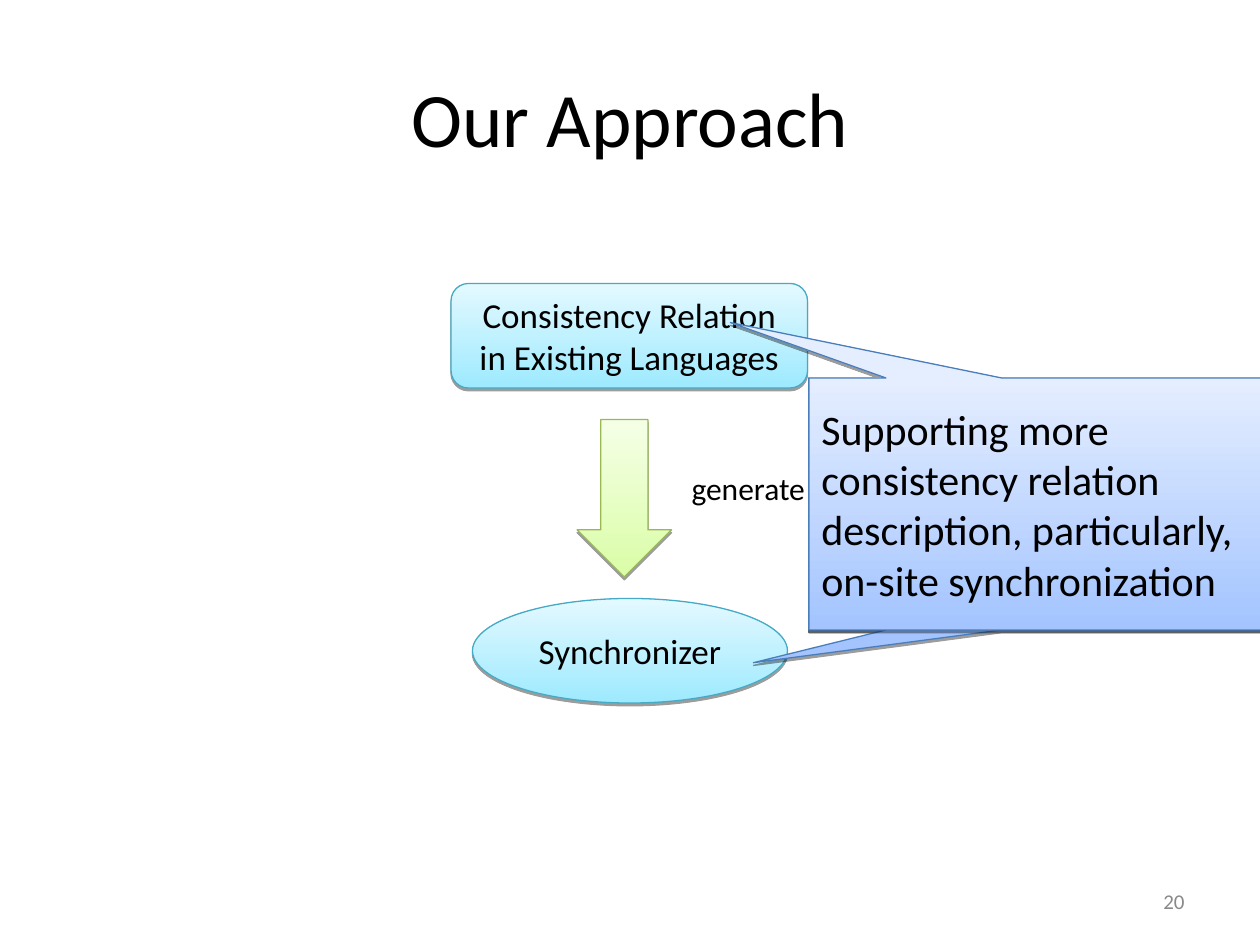
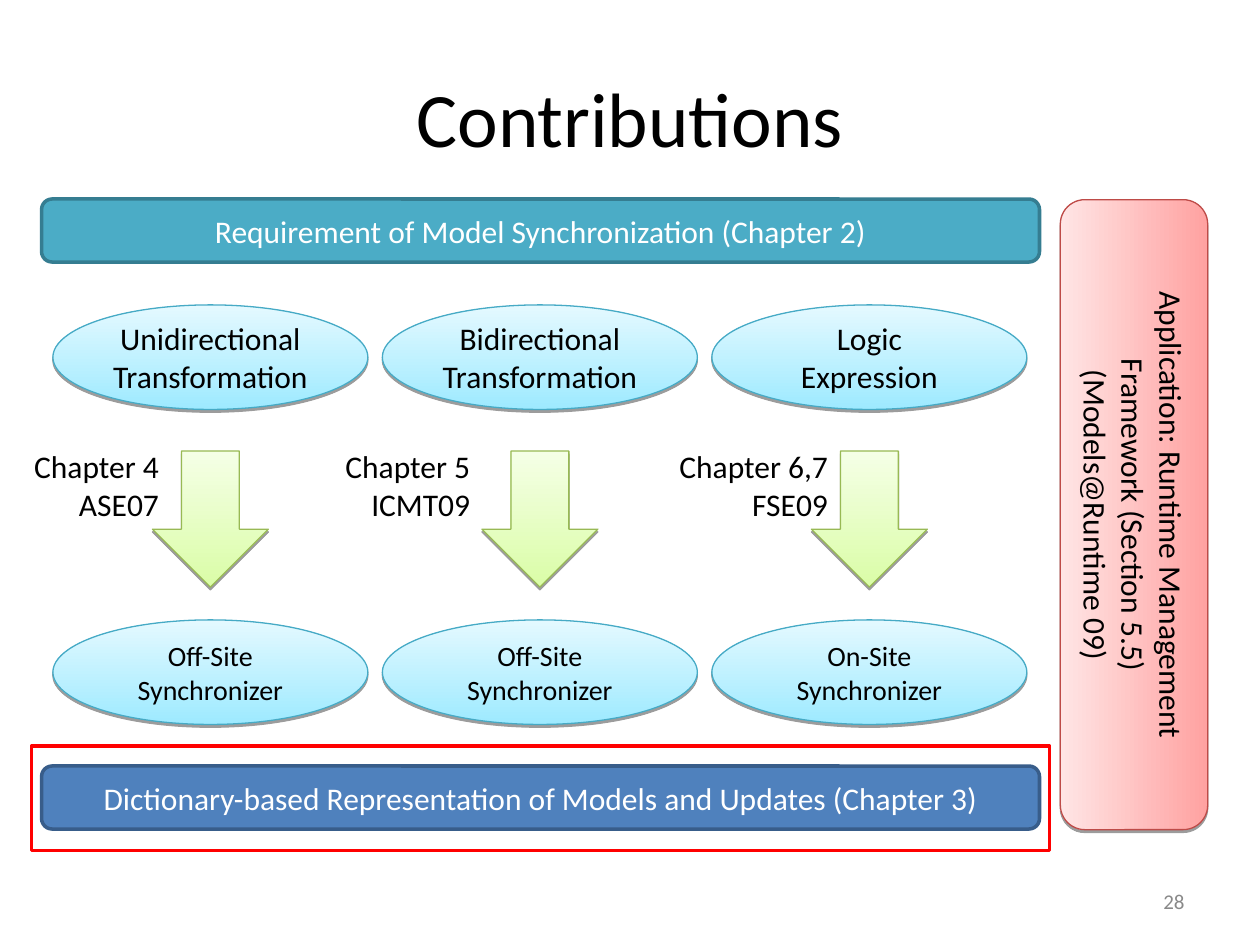
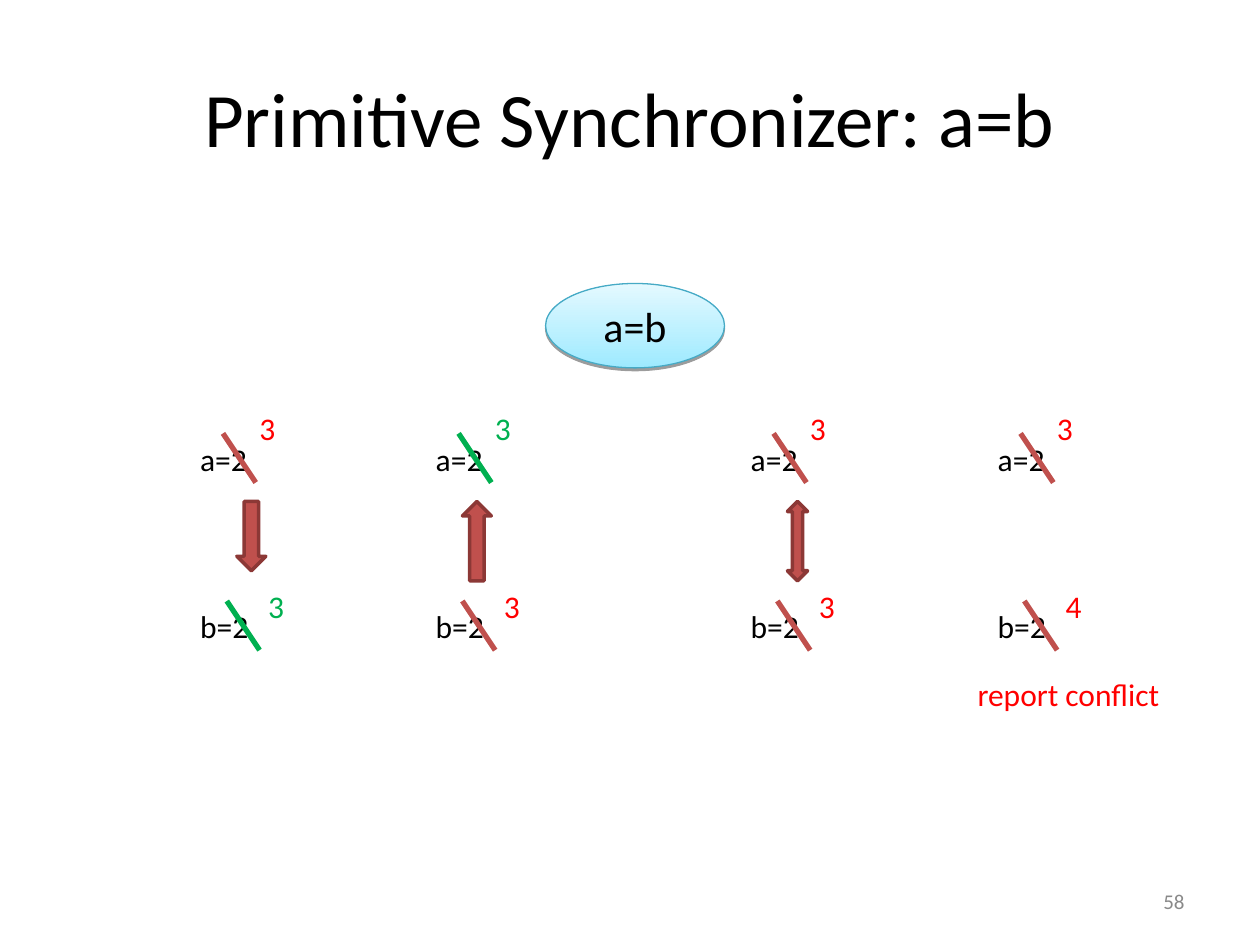
from typing import NamedTuple, Optional

from lxml.etree import SubElement
from pptx import Presentation
from pptx.dml.color import RGBColor
from pptx.enum.shapes import MSO_CONNECTOR, MSO_SHAPE
from pptx.enum.text import MSO_ANCHOR, MSO_AUTO_SIZE, PP_ALIGN
from pptx.oxml.ns import qn
from pptx.util import Inches, Pt

BLACK = RGBColor(0x00, 0x00, 0x00)
WHITE = RGBColor(0xFF, 0xFF, 0xFF)
GRAY = RGBColor(0x89, 0x89, 0x89)
RED = RGBColor(0xFF, 0x00, 0x00)
GREEN = RGBColor(0x00, 0xB0, 0x50)
BRICK = RGBColor(0xC0, 0x50, 0x4D)
FONT = "Calibri"


class Box(NamedTuple):
    left: float
    top: float
    width: float
    height: float


class Style(NamedTuple):
    """One fill colour is solid, two make a shadowed gradient, none is hollow."""
    fills: tuple[RGBColor, ...]
    line: RGBColor
    width: float = 0.75
    angle: int = 90
    ink: RGBColor = BLACK


class Flow(NamedTuple):
    source: str
    chapter: str
    target: str
    note: Box


class Arrow(NamedTuple):
    kind: MSO_SHAPE
    shift: float
    width: float
    height: float


class Case(NamedTuple):
    left: float
    new_a: str
    ink_a: RGBColor
    new_b: str
    ink_b: RGBColor
    arrow: Optional[Arrow]


AQUA = Style((RGBColor(0x9E, 0xEA, 0xFF), RGBColor(0xE4, 0xF9, 0xFF)), RGBColor(0x46, 0xAA, 0xC5))
LIME = Style((RGBColor(0xDA, 0xFD, 0xA7), RGBColor(0xF5, 0xFF, 0xE6)), RGBColor(0x98, 0xB9, 0x54))
SKY = Style((RGBColor(0xA3, 0xC4, 0xFF), RGBColor(0xE5, 0xEE, 0xFF)), RGBColor(0x4A, 0x7E, 0xBB))
ROSE = Style((RGBColor(0xFF, 0xA2, 0xA1), RGBColor(0xFF, 0xE5, 0xE5)), RGBColor(0xBE, 0x4B, 0x48),
             angle=180)
TEAL = Style((RGBColor(0x4B, 0xAC, 0xC6),), RGBColor(0x35, 0x7D, 0x91), 2, ink=WHITE)
BLUE = Style((RGBColor(0x4F, 0x81, 0xBD),), RGBColor(0x38, 0x5D, 0x8A), 2, ink=WHITE)
RUST = Style((BRICK,), RGBColor(0x8C, 0x38, 0x36), 2)
FRAME = Style((), RED, 2)

FLOWS = (
    Flow("Unidirectional Transformation", "Chapter 4\nASE07", "Off-Site Synchronizer",
         Box(0.17, 3.5, 1.19, 0.7)),
    Flow("Bidirectional Transformation", "Chapter 5\nICMT09", "Off-Site Synchronizer",
         Box(2.64, 3.5, 1.19, 0.7)),
    Flow("Logic Expression", "Chapter 6,7\nFSE09", "On-Site Synchronizer",
         Box(5.29, 3.5, 1.38, 0.7)),
)
CASES = (
    Case(1.49, "3", RED, "3", GREEN, Arrow(MSO_SHAPE.DOWN_ARROW, 0.39, 0.23, 0.55)),
    Case(3.36, "3", GREEN, "3", RED, Arrow(MSO_SHAPE.UP_ARROW, 0.31, 0.23, 0.63)),
    Case(5.86, "3", RED, "3", RED, Arrow(MSO_SHAPE.UP_DOWN_ARROW, 0.39, 0.16, 0.63)),
    Case(7.82, "3", RED, "4", RED, None),
)


def place(box: Box) -> list:
    return [Inches(side) for side in box]


def write(shape, text: str, size: float, ink: RGBColor, align=PP_ALIGN.CENTER,
          anchor=MSO_ANCHOR.MIDDLE, wrap: bool = True) -> None:
    frame = shape.text_frame
    frame.text = text
    frame.word_wrap = wrap
    frame.vertical_anchor = anchor
    look = {"name": FONT, "size": Pt(size)}
    for line in frame.paragraphs:
        line.alignment = align
        for key, value in look.items():
            setattr(line.font, key, value)
        line.font.color.rgb = ink


def add_label(slide, box: Box, text: str, ink: RGBColor = BLACK, align=PP_ALIGN.LEFT) -> None:
    """Add a small text that does not wrap."""
    label = slide.shapes.add_textbox(*place(box))
    write(label, text, 18, ink, align, MSO_ANCHOR.TOP, False)
    label.text_frame.auto_size = MSO_AUTO_SIZE.SHAPE_TO_FIT_TEXT


def add_shadow(shape) -> None:
    effects = shape._element.spPr.find(qn("a:effectLst"))
    outer = SubElement(effects, qn("a:outerShdw"), blurRad="0", dist=str(Pt(1.6)),
                       dir="5400000", rotWithShape="0")
    tone = SubElement(outer, qn("a:srgbClr"), val=str(BLACK))
    SubElement(tone, qn("a:alpha"), val="38000")


def add_part(slide, kind: MSO_SHAPE, box: Box, style: Style, text: str = "",
             size: float = 18, align=PP_ALIGN.CENTER):
    shape = slide.shapes.add_shape(kind, *place(box))
    shape.shadow.inherit = False
    fill = shape.fill
    if len(style.fills) == 2:
        fill.gradient()
        fill.gradient_angle = style.angle
        for stop, tone in zip(fill.gradient_stops, style.fills):
            stop.color.rgb = tone
        shape._element.spPr.find(qn("a:gradFill")).set("rotWithShape", "0")
        add_shadow(shape)
    elif style.fills:
        fill.solid()
        fill.fore_color.rgb = style.fills[0]
    else:
        fill.background()
    shape.line.color.rgb = style.line
    shape.line.width = Pt(style.width)
    if text:
        write(shape, text, size, style.ink, align)
    return shape


def add_strike(slide, left: float, top: float, ink: RGBColor) -> None:
    """Cross out an old value with a slanted line."""
    ends = [Inches(end) for end in (left, top, left + 0.26, top + 0.39)]
    strike = slide.shapes.add_connector(MSO_CONNECTOR.STRAIGHT, *ends)
    strike.line.color.rgb = ink
    strike.line.width = Pt(3)
    SubElement(strike._element.spPr, qn("a:effectLst"))


def add_slide(deck, title: str, number: int):
    slide = deck.slides.add_slide(deck.slide_layouts[6])
    head = slide.shapes.add_textbox(*place(Box(0.5, 0.3, 9, 1.25)))
    write(head, title, 44, BLACK)
    foot = slide.shapes.add_textbox(*place(Box(7.17, 6.95, 2.33, 0.4)))
    write(foot, str(number), 12, GRAY, PP_ALIGN.RIGHT)
    return slide


def draw_approach(deck) -> None:
    slide = add_slide(deck, "Our Approach", 20)
    add_part(slide, MSO_SHAPE.OVAL, Box(3.75, 4.75, 2.5, 0.83), AQUA, "Synchronizer", 20)
    add_part(slide, MSO_SHAPE.ROUNDED_RECTANGLE, Box(3.58, 2.25, 2.83, 0.83), AQUA,
             "Consistency Relation in Existing Languages", 20)
    add_part(slide, MSO_SHAPE.DOWN_ARROW, Box(4.58, 3.33, 0.75, 1.25), LIME)
    add_label(slide, Box(5.39, 3.67, 1.11, 0.4), "generate")
    for tip in ((-0.62, 0.63), (-0.67, -0.72)):
        note = add_part(slide, MSO_SHAPE.RECTANGULAR_CALLOUT, Box(6.42, 3, 3.67, 2), SKY,
                        "Supporting more consistency relation description, "
                        "particularly, on-site synchronization", 24, PP_ALIGN.LEFT)
        for index, value in enumerate(tip):
            note.adjustments[index] = value


def draw_gains(deck) -> None:
    slide = add_slide(deck, "Contributions", 28)
    bars = (
        (1.58, TEAL, "Requirement of Model Synchronization (Chapter 2)"),
        (6.08, BLUE, "Dictionary-based Representation of Models and Updates (Chapter 3)"),
    )
    for top, style, text in bars:
        add_part(slide, MSO_SHAPE.ROUNDED_RECTANGLE, Box(0.33, top, 7.92, 0.5), style, text)
    for index, flow in enumerate(FLOWS):
        left = 0.42 + 2.615 * index
        add_part(slide, MSO_SHAPE.OVAL, Box(left, 2.42, 2.5, 0.83), AQUA, flow.source)
        add_part(slide, MSO_SHAPE.DOWN_ARROW, Box(left + 0.79, 3.58, 0.92, 1.08), LIME)
        add_part(slide, MSO_SHAPE.OVAL, Box(left, 4.92, 2.5, 0.83), AQUA, flow.target, 16)
        add_label(slide, flow.note, flow.chapter, align=PP_ALIGN.RIGHT)
    usage = add_part(slide, MSO_SHAPE.ROUNDED_RECTANGLE, Box(6.5, 3.5, 5, 1.17), ROSE,
                     "Application: Runtime Management Framework (Section 5.5)\n"
                     "(Models@Runtime 09)")
    usage.rotation = 90
    add_part(slide, MSO_SHAPE.RECTANGLE, Box(0.25, 5.92, 8.08, 0.83), FRAME)


def draw_cases(deck) -> None:
    slide = add_slide(deck, "Primitive Synchronizer: a=b", 58)
    for case in CASES:
        left = case.left
        rows = (
            ("a=2", 3.44, 0.28, case.new_a, case.ink_a, 0.47, 3.2),
            ("b=2", 4.77, 0.31, case.new_b, case.ink_b, 0.54, 4.61),
        )
        for old, top, cut, new, ink, shift, rise in rows:
            add_label(slide, Box(left, top, 0.58, 0.4), old)
            add_strike(slide, left + cut, top, GREEN if ink == GREEN else BRICK)
            add_label(slide, Box(left + shift, rise, 0.32, 0.4), new, ink)
        if case.arrow:
            kind, shift, width, height = case.arrow
            add_part(slide, kind, Box(left + shift, 3.98, width, height), RUST)
    add_label(slide, Box(7.66, 5.31, 1.65, 0.4), "report conflict", RED)
    add_part(slide, MSO_SHAPE.OVAL, Box(4.33, 2.25, 1.42, 0.67), AQUA, "a=b", 24)


def main() -> None:
    deck = Presentation()
    deck.slide_width, deck.slide_height = Inches(10), Inches(7.5)
    for draw in (draw_approach, draw_gains, draw_cases):
        draw(deck)
    deck.save("out.pptx")


if __name__ == "__main__":
    main()
